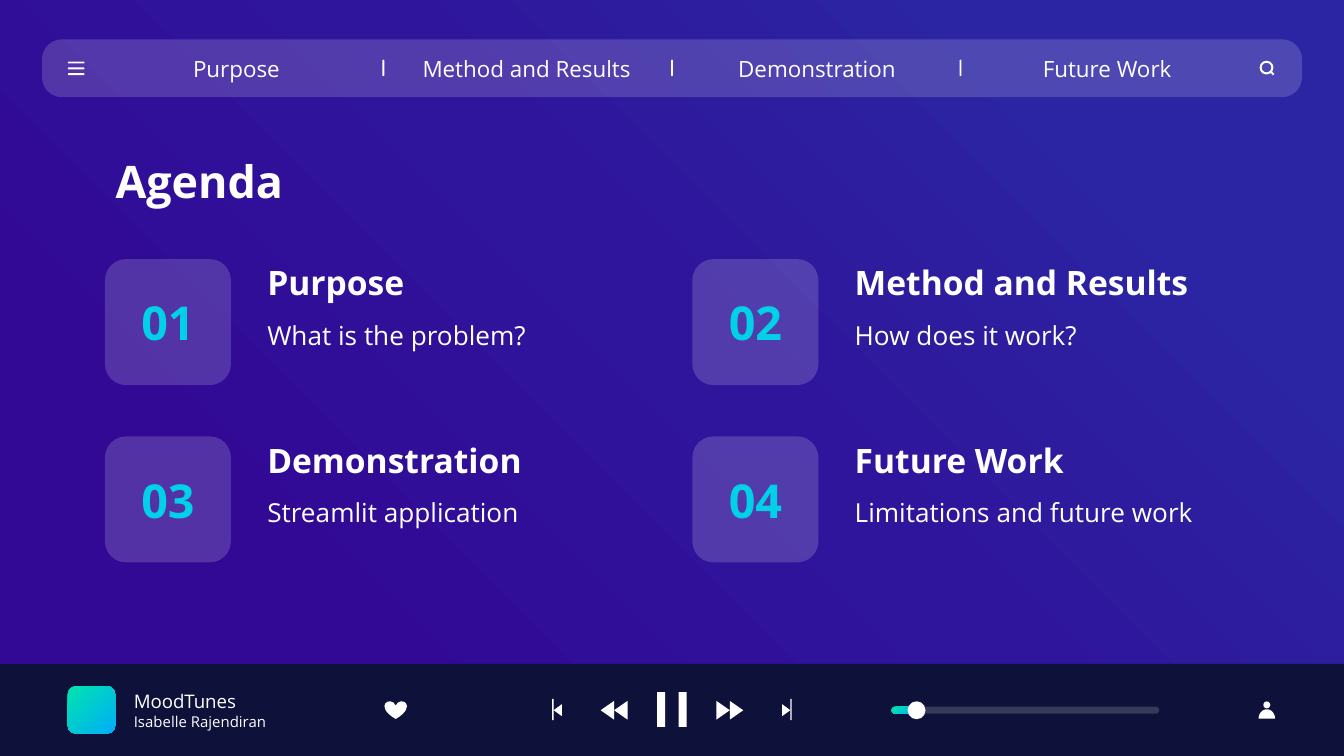
from copy import deepcopy
from math import cos, pi, sin

from pptx import Presentation
from pptx.dml.color import RGBColor
from pptx.enum.shapes import MSO_CONNECTOR, MSO_SHAPE
from pptx.enum.text import MSO_ANCHOR, PP_ALIGN
from pptx.oxml.ns import qn
from pptx.oxml.xmlchemy import OxmlElement
from pptx.util import Pt

WHITE, CYAN, NAVY = "FFFFFF", "00D1E9", "0E1139"
BACKDROP = [(21, "310995"), (53, "2F159B"), (82, "2B25A3")]
AQUA = [(0, "00E4AE"), (100, "00AEF8")]
GLASS = 17  # opacity of the translucent panels, in percent
MIDDLE = 360


def rgb(hex_color):
    return RGBColor.from_string(hex_color)


class PlayerSlide:
    font = "Open Sans"
    inset = 7.2

    def __init__(self, slide):
        self.slide = slide
        self.shapes = slide.shapes

    def gradient(self, owner, fill, stops, clockwise):
        fill.gradient()
        fill.gradient_angle = 360 - clockwise
        stop_list = next(owner.element.iter(qn("a:gsLst")))
        for _ in stops[2:]:
            stop_list.append(deepcopy(stop_list[0]))
        for stop, (percent, color) in zip(fill.gradient_stops, stops):
            stop.position = percent / 100
            stop.color.rgb = rgb(color)

    def paint(self, shape, color, opacity=100):
        shape.shadow.inherit = False
        shape.line.fill.background()
        if isinstance(color, list):
            self.gradient(shape, shape.fill, color, 45)
            return
        shape.fill.solid()
        shape.fill.fore_color.rgb = rgb(color)
        if opacity < 100:
            alpha = OxmlElement("a:alpha")
            alpha.set("val", str(opacity * 1000))
            next(shape.element.iter(qn("a:srgbClr"))).append(alpha)

    def box(self, kind, left, top, width, height, color=WHITE, opacity=100, adjust=None):
        shape = self.shapes.add_shape(kind, Pt(left), Pt(top), Pt(width), Pt(height))
        if adjust is not None:
            shape.adjustments[0] = adjust
        self.paint(shape, color, opacity)
        return shape

    def rounded(self, left, top, width, height, color=WHITE, opacity=100, adjust=0.5):
        return self.box(MSO_SHAPE.ROUNDED_RECTANGLE, left, top, width, height,
                        color, opacity, adjust)

    def polygon(self, points):
        start, *others = [(Pt(x), Pt(y)) for x, y in points]
        builder = self.shapes.build_freeform(*start, scale=1.0)
        builder.add_line_segments(others, close=True)
        self.paint(builder.convert_to_shape(), WHITE)

    def stroke(self, x1, y1, x2, y2, weight):
        line = self.shapes.add_connector(MSO_CONNECTOR.STRAIGHT, Pt(x1), Pt(y1), Pt(x2), Pt(y2))
        line.line.color.rgb = rgb(WHITE)
        line.line.width = Pt(weight)
        line.element.spPr.append(OxmlElement("a:effectLst"))

    def set_text(self, shape, text, sizes, color=WHITE, bold=False,
                 align=PP_ALIGN.LEFT, anchor=MSO_ANCHOR.MIDDLE):
        frame = shape.text_frame
        frame.text = text
        frame.word_wrap = True
        frame.vertical_anchor = anchor
        frame.margin_left = frame.margin_right = Pt(self.inset)
        frame.margin_top = frame.margin_bottom = Pt(self.inset)
        for paragraph, size in zip(frame.paragraphs, sizes):
            paragraph.alignment = align
            for run in paragraph.runs:
                run.font.name = self.font
                run.font.size = Pt(size)
                run.font.bold = bold
                run.font.color.rgb = rgb(color)

    def label(self, left, top, width, height, text, sizes, **style):
        area = self.shapes.add_textbox(Pt(left), Pt(top), Pt(width), Pt(height))
        self.set_text(area, text, sizes, **style)


def main():
    presentation = Presentation()
    presentation.slide_width, presentation.slide_height = Pt(720), Pt(405)
    page = PlayerSlide(presentation.slides.add_slide(presentation.slide_layouts[6]))
    page.gradient(page.slide, page.slide.background.fill, BACKDROP, 315)

    # Player bar with cover, track and heart
    page.box(MSO_SHAPE.RECTANGLE, 0, 355.6, 720, 49.4, NAVY)
    page.rounded(36.3, 367.6, 25.4, 25.4, AQUA, adjust=0.167)
    page.label(64.6, 367.7, 123, 25.2, "MoodTunes\nIsabelle Rajendiran", [10, 8])
    page.box(MSO_SHAPE.HEART, 206, 375.6, 12, 9.6)

    # Playback controls, mirrored about the middle
    for side in (-1, 1):
        page.box(MSO_SHAPE.RECTANGLE, MIDDLE + side * 5.75 - 2.15, 370.8, 4.3, 18.7)
        page.box(MSO_SHAPE.RECTANGLE, MIDDLE + side * 63.8 - 0.4, 374.4, 0.8, 11.5)
        for base, length, half in ((23.8, 7.2, 5), (31, 7.2, 5), (59, 4.4, 3.2)):
            base_x, tip_x = MIDDLE + side * base, MIDDLE + side * (base + length)
            page.polygon([(base_x, 380.5 - half), (base_x, 380.5 + half), (tip_x, 380.5)])

    # Volume slider
    page.rounded(477.6, 378.6, 143.4, 3.8, opacity=GLASS)
    page.rounded(477.6, 378.6, 14.4, 3.8, AQUA)
    page.box(MSO_SHAPE.OVAL, 486.2, 375.7, 9.6, 9.6)

    # Listener icon
    page.box(MSO_SHAPE.OVAL, 676.8, 375.8, 3.7, 3.7)
    shoulders = [(678.7 + 4.4 * cos(step * pi / 16), 385 - 5 * sin(step * pi / 16))
                 for step in range(17)]
    page.polygon(shoulders)

    # Navigation bar
    page.rounded(22.5, 21.1, 675, 31, opacity=GLASS, adjust=0.344)
    for row in range(3):
        page.rounded(36.4, 33 + 3.1 * row, 8.9, 1)
    page.box(MSO_SHAPE.DONUT, 674.8, 32.5, 7.4, 7.4, adjust=0.15)
    page.stroke(680.8, 38.4, 682.3, 40, 1)
    for gap in (-1, 0, 1):
        page.rounded(MIDDLE + gap * 154.6 - 0.5, 32, 1, 8.8)

    # Agenda
    page.label(54.8, 82.2, 607.6, 29.4, "Agenda", [24], bold=True)
    topics = [
        ("Purpose", "What is the problem?"),
        ("Method and Results", "How does it work?"),
        ("Demonstration", "Streamlit application"),
        ("Future Work", "Limitations and future work"),
    ]
    for index, (topic, detail) in enumerate(topics):
        row, column = divmod(index, 2)
        left, top = 56.2 + 314.7 * column, 138.8 + 95 * row
        card = page.rounded(left, top, 67.5, 67.5, opacity=GLASS, adjust=0.167)
        page.set_text(card, f"{index + 1:02}", [25], color=CYAN, bold=True,
                      align=PP_ALIGN.CENTER)
        page.label(left + 79.9, top, 213.2, 25, topic, [18], bold=True)
        page.label(left + 79.9, top + 25, 213.2, 42.5, detail, [14], anchor=MSO_ANCHOR.TOP)
        page.label(54.7 + 155.5 * index, 24, 144, 25.2, topic, [12], align=PP_ALIGN.CENTER)

    presentation.save("out.pptx")


if __name__ == "__main__":
    main()
